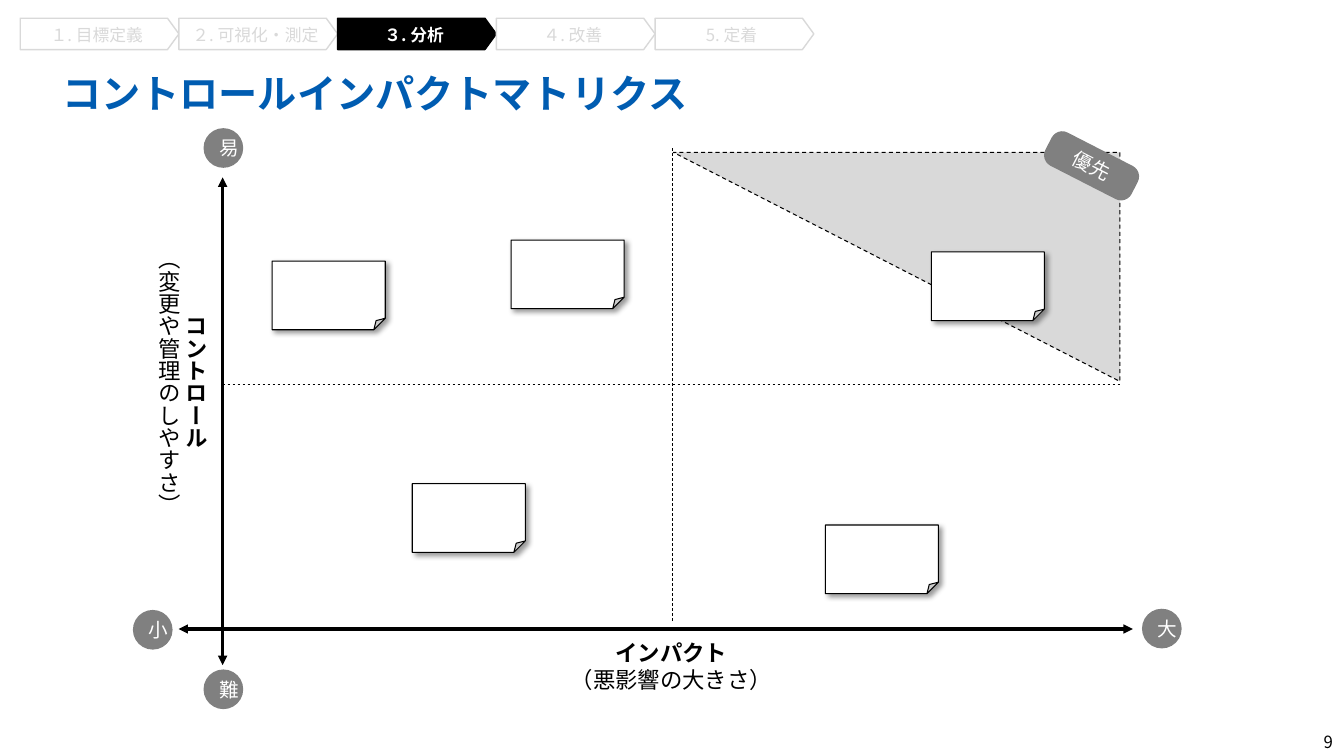
from lxml import etree
from pptx import Presentation
from pptx.dml.color import RGBColor
from pptx.enum.dml import MSO_LINE
from pptx.enum.shapes import MSO_CONNECTOR, MSO_SHAPE
from pptx.enum.text import MSO_ANCHOR, PP_ALIGN
from pptx.oxml import parse_xml
from pptx.oxml.ns import qn
from pptx.util import Cm, Pt

FONT = "Noto Sans CJK JP"
BLACK = RGBColor(0x00, 0x00, 0x00)
WHITE = RGBColor(0xFF, 0xFF, 0xFF)
BLUE = RGBColor(0x00, 0x5C, 0xB1)
GRAY = RGBColor(0x80, 0x80, 0x80)
LIGHT_GRAY = RGBColor(0xD9, 0xD9, 0xD9)

LEFT, CENTER, RIGHT = PP_ALIGN.LEFT, PP_ALIGN.CENTER, PP_ALIGN.RIGHT
TOP, MIDDLE = MSO_ANCHOR.TOP, MSO_ANCHOR.MIDDLE
STRAIGHT = MSO_CONNECTOR.STRAIGHT
DASH = MSO_LINE.DASH
RECTANGLE = MSO_SHAPE.RECTANGLE
ROUNDED = MSO_SHAPE.ROUNDED_RECTANGLE
CIRCLE = MSO_SHAPE.FLOWCHART_CONNECTOR
NOTE = MSO_SHAPE.FOLDED_CORNER
STEP = MSO_SHAPE.PENTAGON
TRIANGLE = MSO_SHAPE.RIGHT_TRIANGLE

NOTE_SHADOW = (
    '<a:outerShdw xmlns:a="http://schemas.openxmlformats.org/drawingml/2006/main"'
    ' blurRad="50800" dist="38100" dir="2700000" algn="tl" rotWithShape="0">'
    '<a:srgbClr val="000000"><a:alpha val="40000"/></a:srgbClr></a:outerShdw>'
)

STEPS = ["１. 目標定義", "２. 可視化・測定", "３. 分析", "４. 改善", "5. 定着"]
CURRENT_STEP = 2
STEP_WIDTH = 4.0

AXIS_X, AXIS_Y = 5.61, 15.85
AXIS_ENDS = [("小", 3.35, 15.37), ("大", 28.78, 15.34),
             ("難", 5.13, 16.87), ("易", 5.13, 3.23)]
NOTE_CORNERS = [(12.88, 6.05), (23.47, 6.35), (20.8, 13.23),
                (10.39, 12.19), (6.86, 6.58)]


def set_frame(frame, anchor=MIDDLE, wrap=True, insets=(0.25, 0.13, 0.25, 0.13)):
    """Set the anchor, wrapping and left, top, right, bottom insets in cm."""
    frame.vertical_anchor = anchor
    frame.word_wrap = wrap
    (frame.margin_left, frame.margin_top,
     frame.margin_right, frame.margin_bottom) = [Cm(inset) for inset in insets]


def write(frame, text, size=14, color=WHITE, bold=False, align=CENTER, spacing=None):
    """Fill the empty first paragraph, or add one below the present text."""
    para = frame.add_paragraph() if frame.text else frame.paragraphs[0]
    para.alignment = align
    if spacing:
        para.line_spacing = spacing
    span = para.add_run()
    span.text = text
    span.font.name = FONT
    span.font.size = Pt(size)
    span.font.bold = bold
    span.font.color.rgb = color
    latin = span.font._element.find(qn("a:latin"))
    east_asian = etree.Element(qn("a:ea"), typeface=FONT)
    latin.addnext(east_asian)


def add_text_box(page, left, top, width, height, **frame_format):
    box = page.shapes.add_textbox(Cm(left), Cm(top), Cm(width), Cm(height))
    set_frame(box.text_frame, **frame_format)
    return box.text_frame


def add_shape(page, kind, left, top, width, height, fill, line=None, weight=0.75):
    shape = page.shapes.add_shape(kind, Cm(left), Cm(top), Cm(width), Cm(height))
    shape.shadow.inherit = False
    shape.fill.solid()
    shape.fill.fore_color.rgb = fill
    if line is None:
        shape.line.fill.background()
    else:
        shape.line.color.rgb = line
        shape.line.width = Pt(weight)
    set_frame(shape.text_frame)
    return shape


def add_line(page, start, end, weight, dash=None, arrows=False):
    points = [Cm(value) for value in (*start, *end)]
    connector = page.shapes.add_connector(STRAIGHT, *points)
    connector.line.color.rgb = BLACK
    connector.line.width = Pt(weight)
    if dash:
        connector.line.dash_style = dash
    properties = connector._element.spPr
    if arrows:
        outline = properties.find(qn("a:ln"))
        for end_name in ("a:headEnd", "a:tailEnd"):
            etree.SubElement(outline, qn(end_name), type="triangle")
    etree.SubElement(properties, qn("a:effectLst"))


def add_note(page, left, top):
    note = add_shape(page, NOTE, left, top, 2.85, 1.73, WHITE, line=BLACK)
    effects = note._element.spPr.find(qn("a:effectLst"))
    effects.append(parse_xml(NOTE_SHADOW))


def add_step(page, index, text):
    current = index == CURRENT_STEP
    fill, line, color = (BLACK, BLACK, WHITE) if current else (WHITE, LIGHT_GRAY, LIGHT_GRAY)
    step = add_shape(page, STEP, 0.51 + index * STEP_WIDTH, 0.46, STEP_WIDTH, 0.79,
                     fill, line=line, weight=1)
    step.adjustments[0] = 0.364
    set_frame(step.text_frame, wrap=False, insets=(0.25, 0.13, 0.25, 0.1))
    write(step.text_frame, text, size=12, color=color, bold=current)


def add_priority_area(page):
    area = add_shape(page, TRIANGLE, 16.97, 3.84, 11.25, 5.77, LIGHT_GRAY, line=BLACK)
    area.line.dash_style = DASH
    area.rotation = 180
    tag = add_shape(page, ROUNDED, 26.29, 3.71, 2.44, 0.94, GRAY)
    tag.adjustments[0] = 0.317
    tag.rotation = 27.1
    write(tag.text_frame, "優先")


def add_axis_label(frame, name, meaning):
    write(frame, name, size=16, color=BLACK, bold=True)
    write(frame, meaning, size=16, color=BLACK)


def main():
    deck = Presentation()
    deck.slide_width, deck.slide_height = Cm(33.87), Cm(19.05)
    page = deck.slides.add_slide(deck.slide_layouts[6])

    title = add_text_box(page, 1.57, 1.5, 26.6, 1.3, anchor=TOP, insets=(0, 0, 0, 0))
    write(title, "コントロールインパクトマトリクス", size=28, color=BLUE, bold=True,
          align=LEFT, spacing=1.2)

    add_line(page, (AXIS_X, 16.76), (AXIS_X, 4.47), 2.25, arrows=True)
    add_line(page, (4.5, AXIS_Y), (28.55, AXIS_Y), 2.25, arrows=True)
    add_line(page, (AXIS_X, 9.68), (28.27, 9.68), 0.5, dash=DASH)
    add_line(page, (16.94, 15.65), (16.94, 3.73), 0.5, dash=DASH)

    add_priority_area(page)
    for left, top in NOTE_CORNERS:
        add_note(page, left, top)
    for text, left, top in AXIS_ENDS:
        circle = add_shape(page, CIRCLE, left, top, 1, 1, GRAY)
        write(circle.text_frame, text)

    control = add_text_box(page, 3.91, 6.12, 1.37, 7.21)
    control._txBody.bodyPr.set("vert", "eaVert")
    add_axis_label(control, "コントロール", "（変更や管理のしやすさ）")
    impact = add_shape(page, RECTANGLE, 12.6, 16.15, 8.64, 1.27, WHITE)
    add_axis_label(impact.text_frame, "インパクト", "（悪影響の大きさ）")

    for index, text in enumerate(STEPS):
        add_step(page, index, text)

    number = add_text_box(page, 32.72, 18.44, 1.12, 0.51, insets=(0.25, 0, 0.25, 0))
    write(number, "9", size=12, color=BLACK, align=RIGHT)

    deck.save("out.pptx")


if __name__ == "__main__":
    main()
